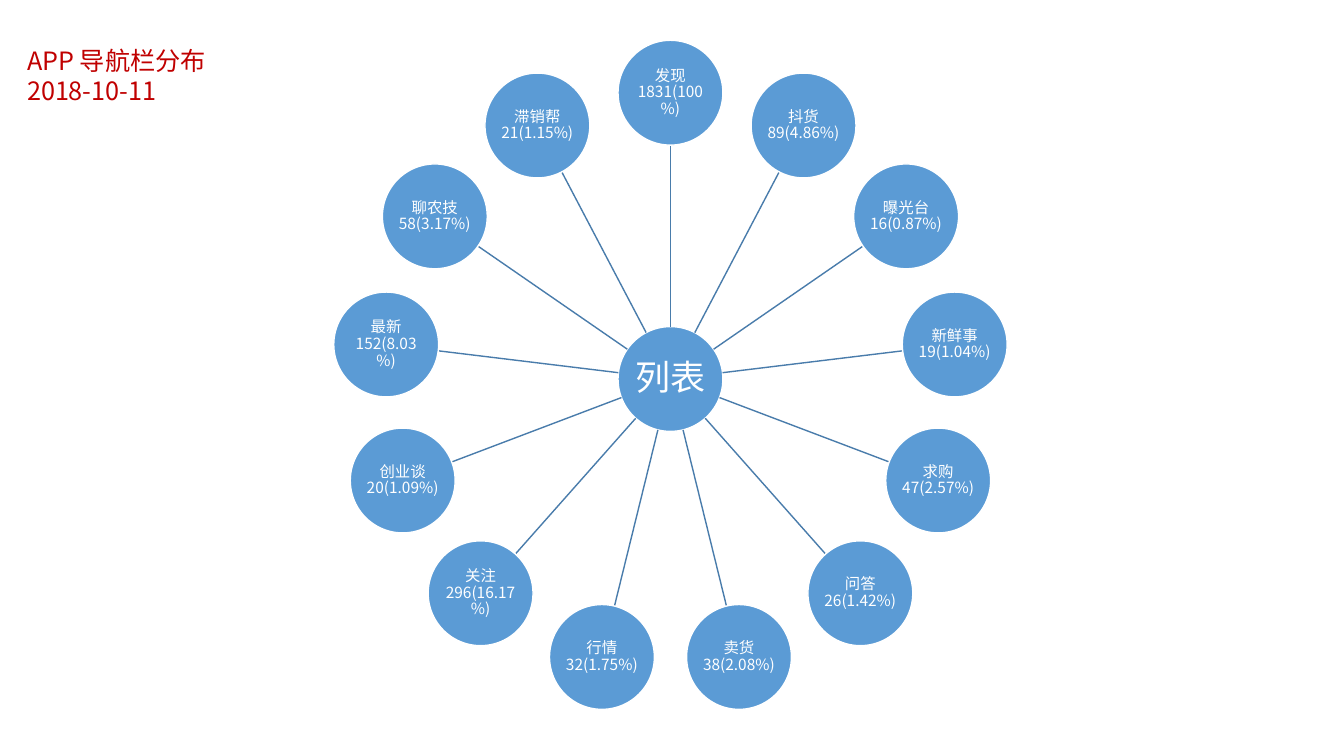
from dataclasses import dataclass
from math import cos, pi, sin

from lxml.etree import SubElement
from pptx import Presentation
from pptx.dml.color import RGBColor
from pptx.enum.shapes import MSO_CONNECTOR, MSO_SHAPE
from pptx.enum.text import MSO_ANCHOR, PP_ALIGN
from pptx.oxml.ns import qn
from pptx.util import Inches, Pt

COLORS = {"circle": "5B9BD5", "spoke": "497CAB", "label": "FFFFFF", "heading": "C00000"}
FONT = "Noto Sans CJK SC"
CENTER_X, CENTER_Y = 6.65, 3.76
ORBIT = 2.84
DIAMETER = 1.04


@dataclass(frozen=True)
class Section:
    """A navigation entry with its count and share."""
    name: str
    count: int
    share: str


SECTIONS = [
    Section("发现", 1831, "100%"),
    Section("抖货", 89, "4.86%"),
    Section("曝光台", 16, "0.87%"),
    Section("新鲜事", 19, "1.04%"),
    Section("求购", 47, "2.57%"),
    Section("问答", 26, "1.42%"),
    Section("卖货", 38, "2.08%"),
    Section("行情", 32, "1.75%"),
    Section("关注", 296, "16.17%"),
    Section("创业谈", 20, "1.09%"),
    Section("最新", 152, "8.03%"),
    Section("聊农技", 58, "3.17%"),
    Section("滞销帮", 21, "1.15%"),
]


def rgb(name: str) -> RGBColor:
    """Look up a named colour."""
    return RGBColor.from_string(COLORS[name])


def add_run(paragraph, text: str, size: float, color: str) -> None:
    """Append a run set in the slide font for Latin and Chinese."""
    run = paragraph.add_run()
    run.text = text
    run.font.size = Pt(size)
    run.font.name = FONT
    run.font.color.rgb = rgb(color)
    SubElement(run.font._element, qn("a:ea")).set("typeface", FONT)


def point_at(angle: float, radius: float) -> tuple[float, float]:
    """Give the point clockwise from the top around the hub."""
    return CENTER_X + radius * sin(angle), CENTER_Y - radius * cos(angle)


def add_circle(shapes, x: float, y: float, text: str, size: float) -> None:
    """Draw a labelled circle centred on x, y."""
    circle = shapes.add_shape(
        MSO_SHAPE.OVAL, Inches(x - DIAMETER / 2), Inches(y - DIAMETER / 2),
        Inches(DIAMETER), Inches(DIAMETER))
    circle.shadow.inherit = False
    circle.fill.solid()
    circle.fill.fore_color.rgb = rgb("circle")
    circle.line.color.rgb = rgb("label")
    circle.line.width = Pt(1)
    frame = circle.text_frame
    frame.word_wrap = True
    frame.vertical_anchor = MSO_ANCHOR.MIDDLE
    frame.margin_left = frame.margin_right = Inches(0)
    frame.margin_top = frame.margin_bottom = Inches(0)
    label = frame.paragraphs[0]
    label.alignment = PP_ALIGN.CENTER
    label.line_spacing = 0.9
    label.space_after = Pt(0.35 * size)
    add_run(label, text, size, "label")


def add_spoke(shapes, angle: float) -> None:
    """Draw the line from the hub's rim to an outer circle's rim."""
    start = point_at(angle, DIAMETER / 2)
    end = point_at(angle, ORBIT - DIAMETER / 2)
    spoke = shapes.add_connector(
        MSO_CONNECTOR.STRAIGHT, *(Inches(value) for value in (*start, *end)))
    spoke.line.color.rgb = rgb("spoke")
    spoke.line.width = Pt(1)
    SubElement(spoke._element.spPr, qn("a:effectLst"))


def add_heading(shapes, lines: list[str]) -> None:
    """Write the heading, one paragraph a line."""
    heading = shapes.add_textbox(Inches(0.17), Inches(0.4), Inches(1.98), Inches(0.71))
    frame = heading.text_frame
    frame.word_wrap = True
    for index, line in enumerate(lines):
        paragraph = frame.add_paragraph() if index else frame.paragraphs[0]
        add_run(paragraph, line, 18, "heading")


def main() -> None:
    """Build and save the slide."""
    deck = Presentation()
    deck.slide_width, deck.slide_height = Inches(13.33), Inches(7.5)
    shapes = deck.slides.add_slide(deck.slide_layouts[6]).shapes
    add_circle(shapes, CENTER_X, CENTER_Y, "列表", 25)
    for index, section in enumerate(SECTIONS):
        angle = 2 * pi * index / len(SECTIONS)
        add_spoke(shapes, angle)
        add_circle(shapes, *point_at(angle, ORBIT),
                   f"{section.name}{section.count}({section.share})", 11)
    add_heading(shapes, ["APP 导航栏分布", "2018-10-11"])
    deck.save("out.pptx")


main()
